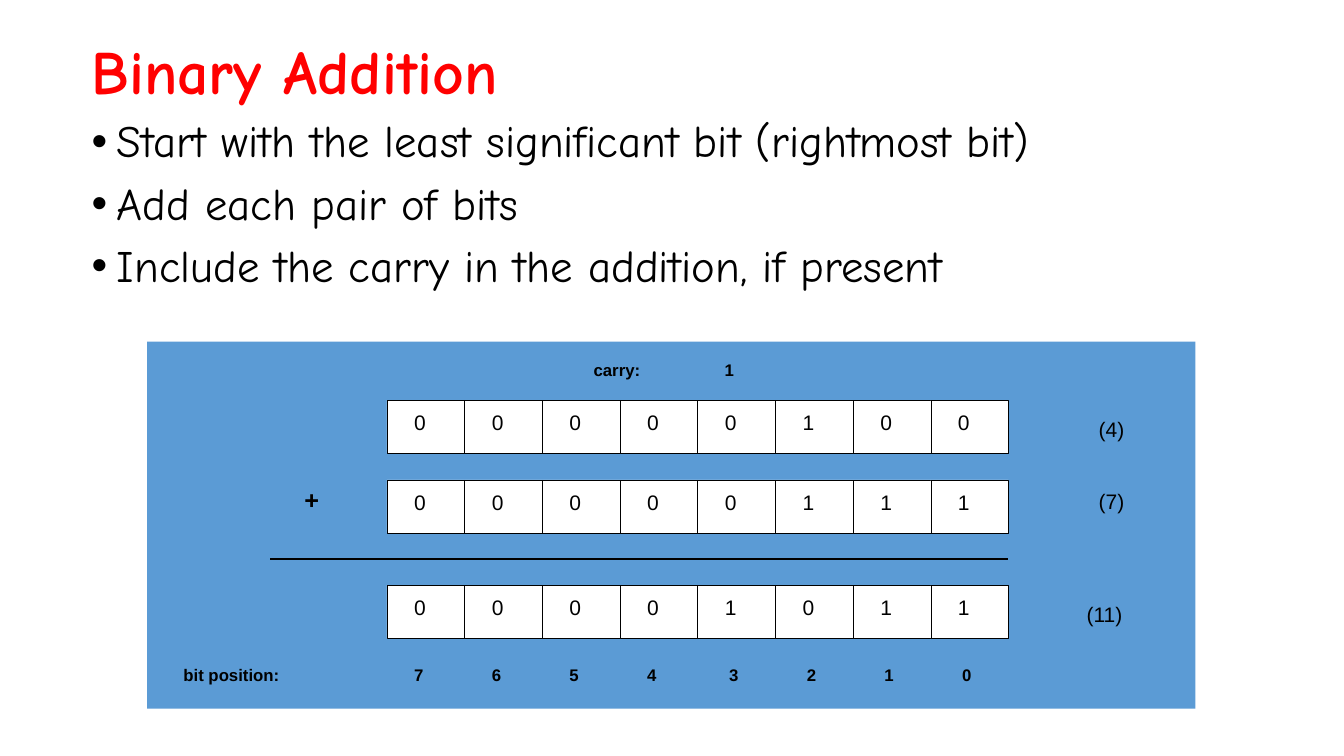
from dataclasses import dataclass

from lxml.etree import SubElement
from pptx import Presentation
from pptx.dml.color import RGBColor
from pptx.enum.shapes import MSO_CONNECTOR, MSO_SHAPE
from pptx.enum.text import MSO_ANCHOR
from pptx.oxml.ns import qn
from pptx.shapes.autoshape import Shape
from pptx.shapes.shapetree import GroupShapes
from pptx.slide import Slide
from pptx.text.text import TextFrame
from pptx.util import Pt

BLACK = RGBColor(0x00, 0x00, 0x00)
WHITE = RGBColor(0xFF, 0xFF, 0xFF)
RED = RGBColor(0xFF, 0x00, 0x00)
BLUE = RGBColor(0x5B, 0x9B, 0xD5)

HEADING_FONT = "Comic Neue"
DIAGRAM_FONT = "Arial"

CELL_LEFT, CELL_WIDTH, CELL_HEIGHT = 276.4, 55.5, 37.8
DIGIT_DX, DIGIT_DY = 19.4, 6.7
CARRY_TOP, POSITION_TOP = 257, 474.5

BULLETS = (
    "Start with the least significant bit (rightmost bit)",
    "Add each pair of bits",
    "Include the carry in the addition, if present",
)


@dataclass(frozen=True)
class Label:
    text: str
    left: float
    top: float
    width: float
    size: float = 12
    bold: bool = True


@dataclass(frozen=True)
class BinaryNumber:
    bits: str
    top: float
    value: Label


NUMBERS = (
    BinaryNumber("00000100", 285.9, Label("(4)", 784.8, 297.4, 38, 15, False)),
    BinaryNumber("00000111", 342.8, Label("(7)", 784.8, 349.2, 38, 15, False)),
    BinaryNumber("00001011", 418.2, Label("(11)", 776.2, 429.8, 55, 15, False)),
)

LABELS = (
    Label("carry:", 424, CARRY_TOP, 68),
    Label("1", 517.7, CARRY_TOP, 14),
    Label("+", 217.4, 345.6, 22, 18),
    Label("bit position:", 131, POSITION_TOP, 142),
)


def style_text(tf: TextFrame, font: str, size: float, color: RGBColor, bold: bool) -> None:
    for p in tf.paragraphs:
        for r in p.runs:
            r.font.name = font
            r.font.size = Pt(size)
            r.font.color.rgb = color
            r.font.bold = bold


def add_title(s: Slide) -> None:
    tf = s.shapes.add_textbox(Pt(58.3), Pt(0.7), Pt(828), Pt(104.4)).text_frame
    tf.word_wrap = True
    tf.vertical_anchor = MSO_ANCHOR.MIDDLE
    tf.text = "Binary Addition"
    tf.paragraphs[0].line_spacing = 0.9
    style_text(tf, HEADING_FONT, 44, RED, True)


def add_bullets(s: Slide) -> None:
    tf = s.shapes.add_textbox(Pt(58.3), Pt(81.4), Pt(794.2), Pt(157.7)).text_frame
    tf.word_wrap = True
    tf.text = "\n".join(BULLETS)
    for p in tf.paragraphs:
        p.line_spacing = 0.9
        p.space_before = Pt(10)
        pPr = p._p.get_or_add_pPr()
        pPr.set("marL", str(Pt(18)))
        pPr.set("indent", str(-Pt(18)))
        SubElement(pPr, qn("a:buFont")).set("typeface", "Arial")
        SubElement(pPr, qn("a:buChar")).set("char", "•")
    style_text(tf, HEADING_FONT, 32, BLACK, False)


def add_box(shapes: GroupShapes, left: float, top: float, width: float,
            height: float, fill: RGBColor) -> Shape:
    sp = shapes.add_shape(MSO_SHAPE.RECTANGLE, Pt(left), Pt(top), Pt(width), Pt(height))
    sp.shadow.inherit = False
    sp.fill.solid()
    sp.fill.fore_color.rgb = fill
    sp.line.fill.background()
    return sp


def add_label(shapes: GroupShapes, label: Label) -> None:
    tf = shapes.add_textbox(Pt(label.left), Pt(label.top), Pt(label.width),
                            Pt(label.size * 1.67)).text_frame
    tf.word_wrap = True
    tf.margin_left = tf.margin_top = tf.margin_right = tf.margin_bottom = 0
    tf.text = label.text
    style_text(tf, DIAGRAM_FONT, label.size, BLACK, label.bold)


def add_number(shapes: GroupShapes, number: BinaryNumber) -> None:
    for column, bit in enumerate(number.bits):
        left = CELL_LEFT + column * CELL_WIDTH
        cell = add_box(shapes, left, number.top, CELL_WIDTH, CELL_HEIGHT, WHITE)
        cell.line.color.rgb = BLACK
        cell.line.width = Pt(0.38)
        add_label(shapes, Label(bit, left + DIGIT_DX, number.top + DIGIT_DY, 17.3, 15, False))
    add_label(shapes, number.value)


def add_bit_positions(shapes: GroupShapes) -> None:
    """Number the columns from 7 to 0; the low four sit slightly to the right."""
    for column in range(8):
        shift = 3 if column >= 4 else 0
        left = CELL_LEFT + column * CELL_WIDTH + DIGIT_DX + shift
        add_label(shapes, Label(str(7 - column), left, POSITION_TOP, 14))


def add_sum_line(shapes: GroupShapes) -> None:
    line = shapes.add_connector(MSO_CONNECTOR.STRAIGHT, Pt(193), Pt(399.4), Pt(720), Pt(399.4))
    line.line.color.rgb = BLACK
    line.line.width = Pt(1.13)
    SubElement(line._element.spPr, qn("a:effectLst"))


def add_diagram(s: Slide) -> None:
    shapes = s.shapes.add_group_shape().shapes
    add_box(shapes, 105.1, 244.1, 748.8, 262.1, BLUE)
    for number in NUMBERS:
        add_number(shapes, number)
    add_sum_line(shapes)
    for label in LABELS:
        add_label(shapes, label)
    add_bit_positions(shapes)


def main() -> None:
    prs = Presentation()
    prs.slide_width, prs.slide_height = Pt(960), Pt(540)
    s = prs.slides.add_slide(prs.slide_layouts[6])
    add_title(s)
    add_bullets(s)
    add_diagram(s)
    prs.save("out.pptx")


if __name__ == "__main__":
    main()
